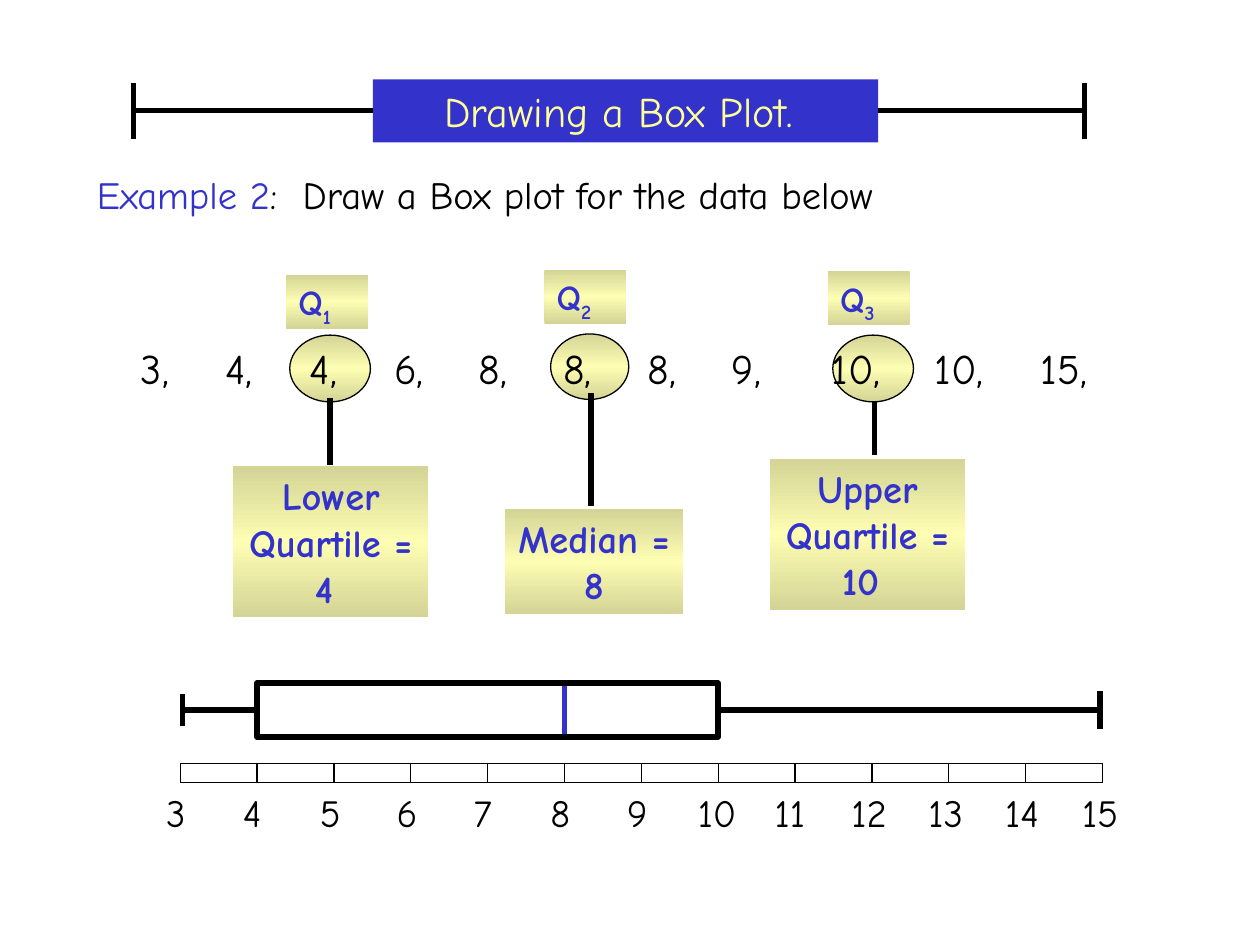
import copy

import lxml.etree
import pptx
import pptx.dml.color
import pptx.enum.shapes
import pptx.enum.text
import pptx.oxml
import pptx.oxml.ns
import pptx.util

Inches = pptx.util.Inches
Pt = pptx.util.Pt
SHAPE = pptx.enum.shapes.MSO_SHAPE
ALIGN = pptx.enum.text.PP_ALIGN
qn = pptx.oxml.ns.qn

FONT = "Comic Neue"
BLACK, BLUE, PALE = "000000", "3333CC", "FFFF99"
EDGE, MID = "D4D496", "FDFDB3"


def rgb(code):
    return pptx.dml.color.RGBColor.from_string(code)


def write(frame, runs, size, color, align=ALIGN.LEFT, bold=False):
    """Fill a frame with one paragraph and return it."""
    frame.word_wrap = True
    frame.vertical_anchor = pptx.enum.text.MSO_ANCHOR.TOP
    para = frame.paragraphs[0]
    para.alignment = align
    for text in runs:
        para.add_run().text = text
    font = para.font
    font.name, font.size, font.bold = FONT, Pt(size), bold
    font.color.rgb = rgb(color)
    return para


def label(slide, left, top, width, height, runs, size):
    box = slide.shapes.add_textbox(
        Inches(left), Inches(top), Inches(width), Inches(height))
    return write(box.text_frame, runs, size, BLACK)


def line(slide, x1, y1, x2, y2, color=BLACK):
    link = slide.shapes.add_connector(
        pptx.enum.shapes.MSO_CONNECTOR.STRAIGHT,
        Inches(x1), Inches(y1), Inches(x2), Inches(y2))
    link.line.color.rgb = rgb(color)
    link.line.width = Pt(3)
    lxml.etree.SubElement(link._element.spPr, qn("a:effectLst"))
    return link


def block(slide, kind, left, top, width, height, weight=0):
    """Add an unfilled shape, outlined in black if it has a weight."""
    shape = slide.shapes.add_shape(
        kind, Inches(left), Inches(top), Inches(width), Inches(height))
    shape.shadow.inherit = False
    shape.fill.background()
    if weight:
        shape.line.color.rgb = rgb(BLACK)
        shape.line.width = Pt(weight)
    else:
        shape.line.fill.background()
    return shape


def shade(shape):
    """Fill with a vertical gradient, light in the middle."""
    fill = shape.fill
    fill.gradient()
    fill.gradient_angle = 90
    stops = fill._fill._gradFill.find(qn("a:gsLst"))
    stops.append(copy.deepcopy(stops[-1]))
    for stop, color, place in zip(
            fill.gradient_stops, (EDGE, MID, EDGE), (0, 0.5, 1)):
        stop.color.rgb = rgb(color)
        stop.position = place


def whisker(slide, box, side, edge, end, y, half):
    """Run a line from one side of a box to a capped end."""
    arm = line(slide, edge, y, end, y)
    arm.begin_connect(box, side)
    line(slide, end, y - half, end, y + half)


def header(slide, left, top, width, height):
    title = slide.shapes.title
    title.left, title.top = Inches(left), Inches(top)
    title.width, title.height = Inches(width), Inches(height)
    title.fill.solid()
    title.fill.fore_color.rgb = rgb(BLUE)
    write(title.text_frame, ["Drawing a Box Plot. "], 24, PALE, ALIGN.CENTER)
    y = top + height / 2
    whisker(slide, title, 1, left, 1.06, y, 0.22)
    whisker(slide, title, 3, left + width, 8.61, y, 0.22)


def marker(slide, ring, tag, stem, note, index, text):
    """Ring a value, tag it above and explain it below."""
    shade(block(slide, SHAPE.OVAL, *ring, weight=0.75))
    for box, runs, size, align in (
            (tag, ["Q", index], 20, ALIGN.LEFT),
            (note, [text], 22, ALIGN.CENTER)):
        shape = block(slide, SHAPE.RECTANGLE, *box)
        shade(shape)
        para = write(shape.text_frame, runs, size, BLUE, align, True)
        if len(runs) > 1:
            para.runs[1].font._element.set("baseline", "-25000")
    x, top, end = stem
    line(slide, x, top, x, end)


def data(slide, left, top, width, height):
    values = (3, 4, 4, 6, 8, 8, 8, 9, 10, 10, 15)
    text = "\t".join(f"{value}," for value in values)
    para = label(slide, left, top, width, height, [text], 24)
    tabs = lxml.etree.Element(qn("a:tabLst"))
    for place in [0.67 * i for i in range(1, 8)] + [5.48, 6.3, 7.14]:
        lxml.etree.SubElement(
            tabs, qn("a:tab"), pos=str(Inches(place)), algn="l")
    props = para._p.get_or_add_pPr()
    props.find(qn("a:defRPr")).addprevious(tabs)


def plot(slide, left, top, unit):
    """Draw the box plot above its scale from 3 to 15."""
    def spot(value):
        return left + unit * (value - 3)

    height = 0.43
    low, high = spot(4), spot(10)
    x, y = spot(8), top + height / 2
    line(slide, x, top, x, top + height, BLUE)
    box = block(slide, SHAPE.RECTANGLE, low, top, high - low, height, 3)
    whisker(slide, box, 1, low, spot(3) + 0.02, y, 0.13)
    whisker(slide, box, 3, high, spot(15) - 0.02, y, 0.15)

    for value in range(3, 15):
        block(slide, SHAPE.RECTANGLE,
              spot(value), top + 0.64, unit, 0.15, 0.75)
    for value in range(3, 16):
        shift = 0.21 if value < 10 else 0.26
        width = 0.42 if value < 9 else 0.67
        label(slide, spot(value) - shift, top + 0.79, width, 0.47,
              [str(value)], 22)


def main():
    deck = pptx.Presentation()
    deck.slide_width, deck.slide_height = Inches(10), Inches(7.5)
    slide = deck.slides.add_slide(deck.slide_layouts[5])
    header(slide, 2.96, 0.63, 4.01, 0.5)
    marker(slide, (6.61, 2.66, 0.64, 0.53), (6.57, 2.15, 0.65, 0.43),
           (6.94, 3.18, 3.61), (6.11, 3.64, 1.55, 1.2),
           "3", "Upper Quartile = 10 ")
    marker(slide, (2.3, 2.66, 0.64, 0.53), (2.27, 2.18, 0.65, 0.43),
           (2.62, 3.16, 3.69), (1.85, 3.7, 1.55, 1.2),
           "1", "Lower Quartile = 4 ")
    marker(slide, (4.37, 2.65, 0.62, 0.52), (4.32, 2.14, 0.65, 0.43),
           (4.69, 3.12, 4.02), (4.01, 4.04, 1.41, 0.83),
           "2", "Median = 8")
    data(slide, 1.02, 2.67, 8.12, 0.5)
    task = label(slide, 0.67, 1.31, 9.02, 0.47,
                 ["Example 2", ":  Draw a Box plot for the data below"], 22)
    task.runs[0].font.color.rgb = rgb(BLUE)
    plot(slide, 1.43, 5.42, 0.61)
    deck.save("out.pptx")


if __name__ == "__main__":
    main()
